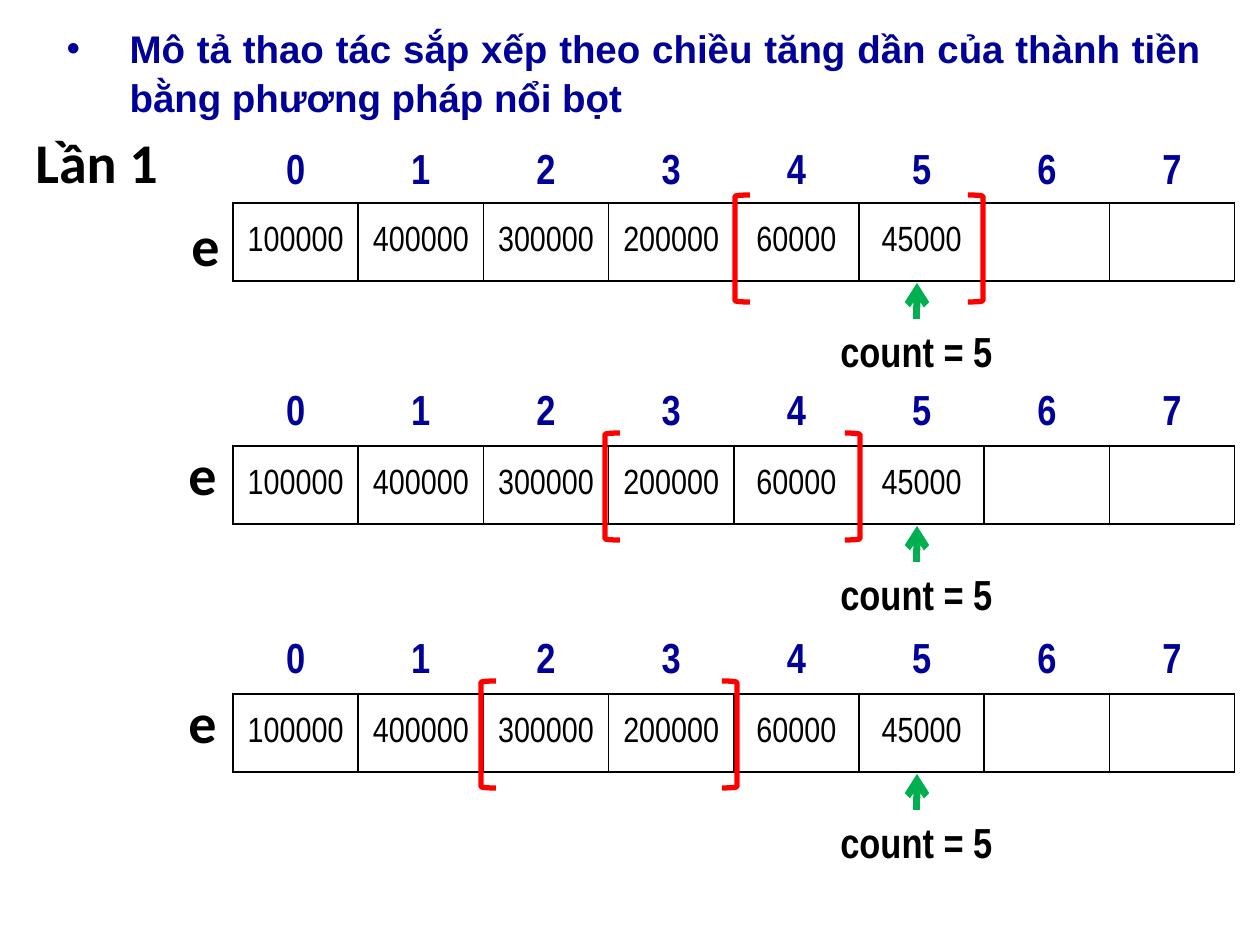
from dataclasses import dataclass

import lxml.etree
import pptx
import pptx.dml.color
import pptx.enum.shapes
import pptx.enum.text
import pptx.oxml.ns
import pptx.util

PX = 914400 / 126
ALIGN = pptx.enum.text.PP_ALIGN
ANCHOR = pptx.enum.text.MSO_ANCHOR
SHAPE = pptx.enum.shapes.MSO_SHAPE


@dataclass(frozen=True)
class Theme:
    navy: str = "000099"
    black: str = "000000"
    white: str = "FFFFFF"
    red: str = "FF0000"
    green: str = "00B050"
    heading_font: str = "Arial"
    label_font: str = "Calibri"
    table_font: str = "Arial Narrow"
    heading: int = 22
    label: int = 32
    index: int = 24
    value: int = 20


@dataclass(frozen=True)
class Step:
    top: int
    header: int
    label_left: int
    label_top: int
    bracket_left: int
    bracket_right: int
    bracket_top: int


THEME = Theme()
VALUES = ["100000", "400000", "300000", "200000", "60000", "45000", "", ""]
STEPS = [
    Step(144, 59, 179, 60, 735, 968, 51),
    Step(383, 63, 176, 50, 605, 845, 50),
    Step(631, 63, 176, 50, 481, 722, 50),
]


def px(*lengths):
    return [pptx.util.Emu(round(n * PX)) for n in lengths]


def rgb(color):
    return pptx.dml.color.RGBColor.from_string(color)


def add_xml(parent, tag, **attributes):
    return lxml.etree.SubElement(parent, pptx.oxml.ns.qn(tag), attributes)


def style(p, font, size, color, bold=True):
    p.font.name = font
    p.font.size = pptx.util.Pt(size)
    p.font.bold = bold
    p.font.color.rgb = rgb(color)


def add_label(s, box, text, font, size):
    tf = s.shapes.add_textbox(*px(*box)).text_frame
    tf.word_wrap = True
    p = tf.paragraphs[0]
    p.text = text
    style(p, font, size, THEME.black)


def add_heading(s, box, text):
    sp = s.shapes.title
    sp.left, sp.top, sp.width, sp.height = px(*box)
    tf = sp.text_frame
    tf.auto_size = pptx.enum.text.MSO_AUTO_SIZE.NONE
    tf.vertical_anchor = ANCHOR.TOP
    p = tf.paragraphs[0]
    p.text = text
    p.alignment = ALIGN.JUSTIFY
    p.line_spacing = 1.06
    pPr = p._p.get_or_add_pPr()
    indent = px(63)[0]
    pPr.set("marL", str(indent))
    pPr.set("indent", str(-indent))
    add_xml(pPr, "a:buFont", typeface="Arial")
    add_xml(pPr, "a:buChar", char="•")
    style(p, THEME.heading_font, THEME.heading, THEME.navy)


def add_borders(cell):
    tcPr = cell._tc.get_or_add_tcPr()
    for i, side in enumerate(("a:lnL", "a:lnR", "a:lnT", "a:lnB")):
        ln = add_xml(tcPr, side, w=str(pptx.util.Pt(1)))
        add_xml(add_xml(ln, "a:solidFill"), "a:srgbClr", val=THEME.black)
        tcPr.insert(i, ln)


def fill_cell(cell, text, size, color, bold):
    cell.fill.solid()
    cell.fill.fore_color.rgb = rgb(THEME.white)
    cell.vertical_anchor = ANCHOR.MIDDLE
    cell.margin_top = cell.margin_bottom = px(4)[0]
    p = cell.text_frame.paragraphs[0]
    p.text = text
    p.alignment = ALIGN.CENTER
    style(p, THEME.table_font, size, color, bold)


def add_array(s, box, header):
    table = s.shapes.add_table(2, len(VALUES), *px(*box)).table
    table.first_row = table.horz_banding = False
    table.rows[0].height, table.rows[1].height = px(header, box[3] - header)
    for i, value in enumerate(VALUES):
        fill_cell(table.cell(0, i), str(i), THEME.index, THEME.navy, True)
        fill_cell(table.cell(1, i), value, THEME.value, THEME.black, False)
        add_borders(table.cell(1, i))


def add_bracket(s, kind, box):
    sp = s.shapes.add_shape(kind, *px(*box))
    sp.shadow.inherit = False
    sp.fill.background()
    sp.line.color.rgb = rgb(THEME.red)
    sp.line.width = pptx.util.Pt(3)


def add_arrow(s, x, bottom, top):
    line = s.shapes.add_connector(
        pptx.enum.shapes.MSO_CONNECTOR.STRAIGHT, *px(x, bottom, x, top))
    line.line.color.rgb = rgb(THEME.green)
    line.line.width = pptx.util.Pt(4)
    add_xml(line.line._get_or_add_ln(), "a:tailEnd", type="arrow")
    add_xml(line._element.spPr, "a:effectLst")


def add_step(s, step):
    height = step.header + 78
    count_top = step.top + height + 38
    add_array(s, (233, step.top, 1002, height), step.header)
    add_label(s, (step.label_left, step.top + step.label_top, 44, 81),
              "e", THEME.label_font, THEME.label)
    add_label(s, (828, count_top, 179, 63),
              "count = 5", THEME.table_font, THEME.index)
    add_arrow(s, 917, count_top, count_top - 36)
    for kind, left in ((SHAPE.LEFT_BRACKET, step.bracket_left),
                       (SHAPE.RIGHT_BRACKET, step.bracket_right)):
        add_bracket(s, kind, (left, step.top + step.bracket_top, 15, 107))


def main():
    prs = pptx.Presentation()
    prs.slide_width, prs.slide_height = px(1260, 945)
    s = prs.slides.add_slide(prs.slide_layouts[5])
    add_heading(s, (54, 16, 1160, 110),
                "Mô tả thao tác sắp xếp theo chiều tăng dần của thành tiền "
                "bằng phương pháp nổi bọt")
    add_label(s, (23, 121, 155, 81), "Lần 1", THEME.label_font, THEME.label)
    for step in STEPS:
        add_step(s, step)
    prs.save("out.pptx")


if __name__ == "__main__":
    main()
